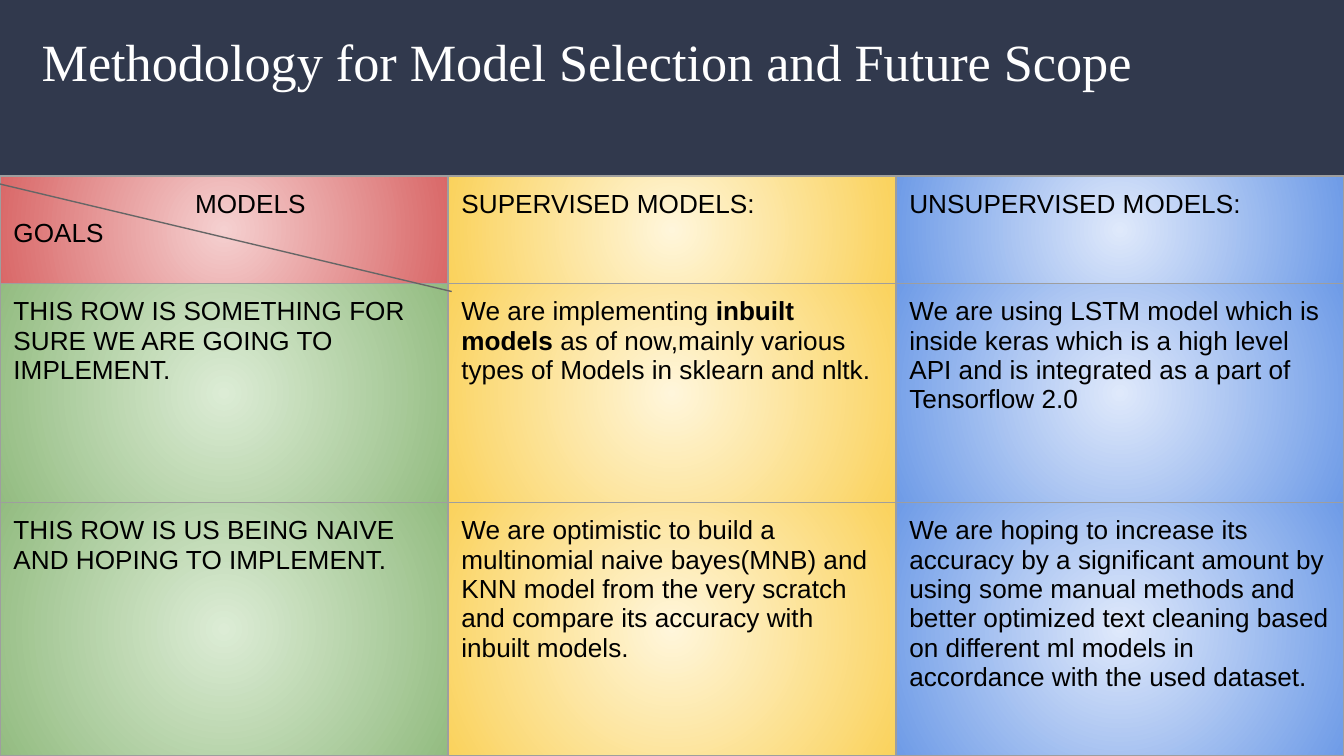
from dataclasses import dataclass

from lxml import etree
from pptx import Presentation
from pptx.dml.color import RGBColor
from pptx.enum.shapes import MSO_CONNECTOR, MSO_SHAPE
from pptx.enum.text import MSO_ANCHOR, MSO_AUTO_SIZE, PP_ALIGN
from pptx.oxml.ns import qn
from pptx.util import Pt

RECT = MSO_SHAPE.RECTANGLE
STRAIGHT = MSO_CONNECTOR.STRAIGHT
TOP = MSO_ANCHOR.TOP
LEFT = PP_ALIGN.LEFT
NO_AUTOFIT = MSO_AUTO_SIZE.NONE

NAVY = RGBColor(0x31, 0x39, 0x4D)
WHITE = RGBColor(0xFF, 0xFF, 0xFF)
BLACK = RGBColor(0x00, 0x00, 0x00)
GRID_GRAY = RGBColor(0x9E, 0x9E, 0x9E)
LINE_GRAY = RGBColor(0x66, 0x66, 0x66)

SLIDE_W, SLIDE_H = Pt(720), Pt(405)
TABLE_TOP = Pt(94.3)
ROW_HEIGHTS = [Pt(57.6), Pt(117.4), Pt(135.4)]
INSET = Pt(7.2)
THIN = Pt(0.75)


@dataclass
class Glow:
    """A radial gradient, from the centre outwards."""
    inner: RGBColor
    outer: RGBColor


RED = Glow(RGBColor(0xF5, 0xD0, 0xD0), RGBColor(0xD9, 0x68, 0x68))
GREEN = Glow(RGBColor(0xDC, 0xEC, 0xD5), RGBColor(0x93, 0xBC, 0x81))
YELLOW = Glow(RGBColor(0xFF, 0xF6, 0xDB), RGBColor(0xFA, 0xD2, 0x5C))
BLUE = Glow(RGBColor(0xDF, 0xE9, 0xFB), RGBColor(0x6E, 0x9B, 0xE7))


@dataclass
class Run:
    text: str
    bold: bool = False


@dataclass
class Para:
    runs: list[Run]
    indent: int = 0


def plain(text: str, indent: int = 0) -> Para:
    return Para([Run(text)], indent)


ROWS = [
    [
        [plain("MODELS", Pt(97.3)), plain("GOALS")],
        [plain("SUPERVISED MODELS:")],
        [plain("UNSUPERVISED MODELS:")],
    ],
    [
        [plain("THIS ROW IS SOMETHING FOR SURE WE ARE GOING TO IMPLEMENT.")],
        [Para([Run("We are implementing "), Run("inbuilt models", True),
               Run(" as of now,mainly various types of Models in sklearn and nltk.")])],
        [plain("We are using LSTM model which is inside keras which is a high level "
               "API and is integrated as a part of Tensorflow 2.0")],
    ],
    [
        [plain("THIS ROW IS US BEING NAIVE AND HOPING TO IMPLEMENT.")],
        [plain("We are optimistic to build a multinomial naive bayes(MNB) and KNN model "
               "from the very scratch and compare its accuracy with inbuilt models.")],
        [plain("We are hoping to increase its accuracy by a significant amount by using "
               "some manual methods and better optimized text cleaning based on different "
               "ml models in accordance with the used dataset.")],
    ],
]


def add_color(parent, color: RGBColor) -> None:
    etree.SubElement(parent, qn("a:srgbClr"), val=str(color))


def style_cell(cell, glow: Glow) -> None:
    """Set the insets, borders and radial fill of a cell."""
    cell.margin_left = cell.margin_right = INSET
    cell.margin_top = cell.margin_bottom = INSET
    cell.vertical_anchor = TOP
    tcPr = cell._tc.get_or_add_tcPr()
    for side in ("a:lnL", "a:lnR", "a:lnT", "a:lnB"):
        ln = etree.SubElement(tcPr, qn(side), w=str(THIN))
        add_color(etree.SubElement(ln, qn("a:solidFill")), GRID_GRAY)
    grad = etree.SubElement(tcPr, qn("a:gradFill"), rotWithShape="1")
    stops = etree.SubElement(grad, qn("a:gsLst"))
    for pos, color in (("0", glow.inner), ("100000", glow.outer)):
        add_color(etree.SubElement(stops, qn("a:gs"), pos=pos), color)
    focus = etree.SubElement(grad, qn("a:path"), path="circle")
    etree.SubElement(focus, qn("a:fillToRect"), l="50000", t="50000", r="50000", b="50000")


def add_run(p, text: str, font: str, size: int, color: RGBColor, bold: bool = False) -> None:
    r = p.add_run()
    r.text = text
    r.font.name, r.font.size, r.font.bold = font, size, bold
    r.font.color.rgb = color


def fill_cell(cell, paras: list[Para]) -> None:
    tf = cell.text_frame
    for i, para in enumerate(paras):
        p = tf.add_paragraph() if i else tf.paragraphs[0]
        if para.indent:
            p._p.get_or_add_pPr().set("marL", str(para.indent))
        for run in para.runs:
            add_run(p, run.text, "Arial", Pt(14), BLACK, run.bold)


def add_band(s) -> None:
    band = s.shapes.add_shape(RECT, 0, 0, SLIDE_W, Pt(101))
    band.shadow.inherit = False
    band.fill.solid()
    band.fill.fore_color.rgb = NAVY
    band.line.fill.background()


def add_model_table(s) -> None:
    n_rows, n_cols = len(ROWS), len(ROWS[0])
    table = s.shapes.add_table(n_rows, n_cols, 0, TABLE_TOP, SLIDE_W, sum(ROW_HEIGHTS)).table
    table.first_row = table.horz_banding = False
    for col in table.columns:
        col.width = SLIDE_W // n_cols
    for i, row in enumerate(ROWS):
        table.rows[i].height = ROW_HEIGHTS[i]
        for j, paras in enumerate(row):
            cell = table.cell(i, j)
            style_cell(cell, (GREEN if i else RED, YELLOW, BLUE)[j])
            fill_cell(cell, paras)


def add_diagonal(s) -> None:
    line = s.shapes.add_connector(STRAIGHT, 0, Pt(98.6), Pt(242), Pt(156.2))
    line.line.color.rgb = LINE_GRAY
    line.line.width = THIN
    etree.SubElement(line.element.spPr, qn("a:effectLst"))


def format_title(s) -> None:
    title = s.shapes.title
    title.left, title.top, title.width, title.height = Pt(15.1), Pt(8.6), Pt(683), Pt(75)
    tf = title.text_frame
    tf.word_wrap, tf.auto_size, tf.vertical_anchor = True, NO_AUTOFIT, TOP
    tf.margin_left = tf.margin_right = tf.margin_top = tf.margin_bottom = INSET
    p = tf.paragraphs[0]
    p.alignment = LEFT
    add_run(p, "Methodology for Model Selection and Future Scope",
            "Times New Roman", Pt(28), WHITE)
    s.shapes.element.append(title.element)  # bring in front of the band


def main() -> None:
    prs = Presentation()
    prs.slide_width, prs.slide_height = SLIDE_W, SLIDE_H
    s = prs.slides.add_slide(prs.slide_layouts[5])  # title only
    add_band(s)
    add_model_table(s)
    add_diagonal(s)
    format_title(s)
    prs.save("out.pptx")


if __name__ == "__main__":
    main()
